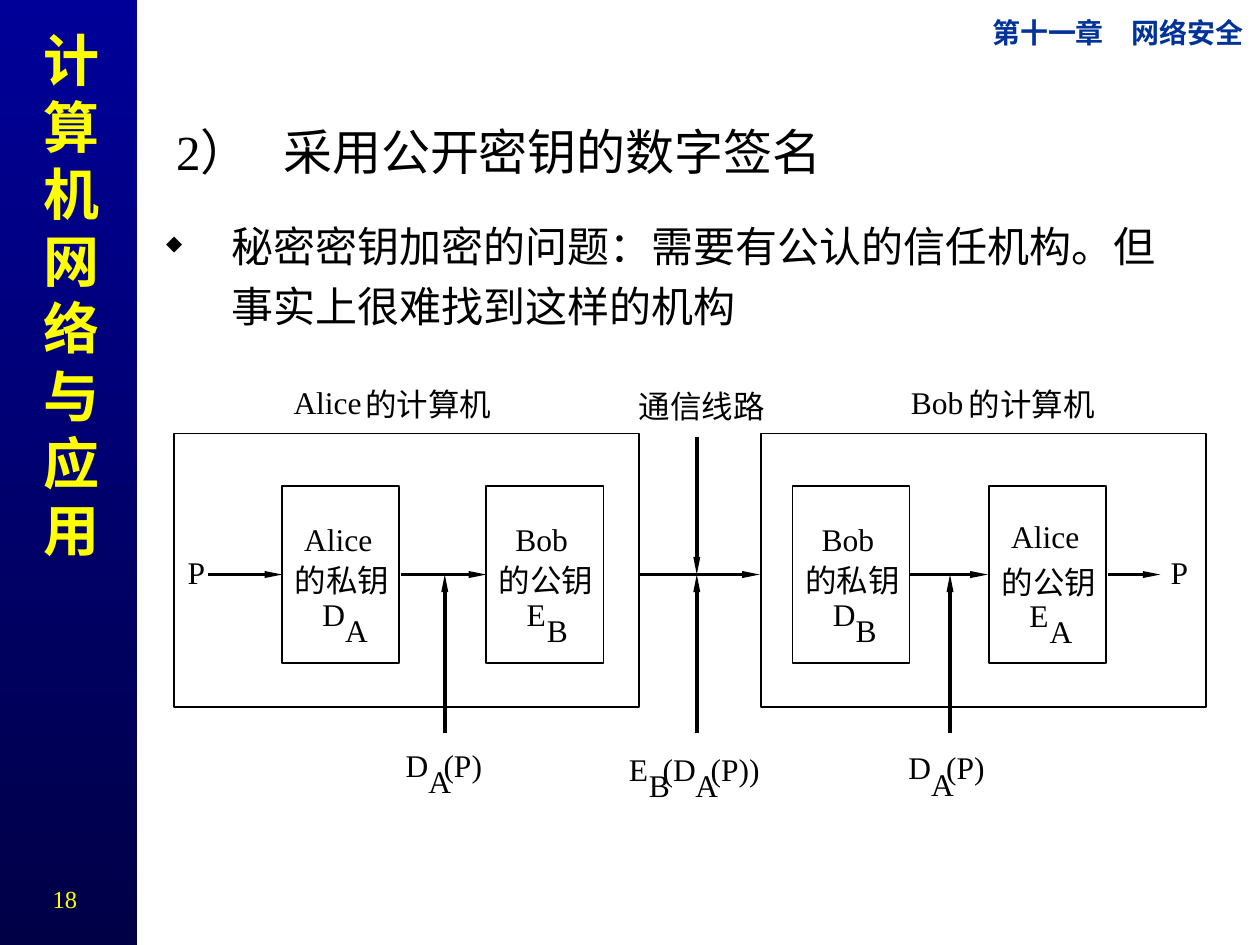
from lxml.etree import SubElement
from pptx import Presentation
from pptx.dml.color import RGBColor
from pptx.enum.shapes import MSO_CONNECTOR, MSO_SHAPE
from pptx.enum.text import MSO_ANCHOR, MSO_AUTO_SIZE, PP_ALIGN
from pptx.oxml.ns import qn
from pptx.util import Inches, Pt

FONT = "Times New Roman"
BLACK = RGBColor(0x00, 0x00, 0x00)
YELLOW = RGBColor(0xFF, 0xFF, 0x00)
CHAPTER_BLUE = RGBColor(0x00, 0x33, 0x99)
BAND_TOP = RGBColor(0x00, 0x00, 0x99)
BAND_BOTTOM = RGBColor(0x00, 0x00, 0x46)

# Character widths in inches at 18 pt; Chinese characters take a full em.
CHAR_WIDTHS = {"A": 0.18, "B": 0.17, "D": 0.18, "E": 0.16, "P": 0.14,
               "l": 0.07, "i": 0.07, "c": 0.11, "e": 0.11,
               "o": 0.13, "b": 0.13, "(": 0.08, ")": 0.08}
EM = 0.25
SLACK = 0.02
FLOW_Y = 4.56
INPUT_Y = 5.82
KEY_TOP, KEY_WIDTH, KEY_HEIGHT = 3.86, 0.93, 1.4


def text_width(text):
    return sum(CHAR_WIDTHS.get(char, EM) for char in text)


def add_text(page, box, text, size, color=BLACK, bold=False,
             align=PP_ALIGN.LEFT, margins=(0.1, 0.05)):
    shape = page.shapes.add_textbox(*map(Inches, box))
    frame = shape.text_frame
    frame.word_wrap = True
    frame.margin_left = frame.margin_right = Inches(margins[0])
    frame.margin_top = frame.margin_bottom = Inches(margins[1])
    frame.text = text
    para = frame.paragraphs[0]
    para.alignment = align
    font = para.runs[0].font
    font.name, font.size, font.bold = FONT, Pt(size), bold
    font.color.rgb = color
    return shape


def add_label(page, left, top, text):
    """Place one unwrapped line of diagram text, its box fitted to it."""
    label = add_text(page, (left, top, text_width(text) + SLACK, 0.3), text,
                     18, margins=(0, 0))
    label.text_frame.word_wrap = False
    label.text_frame.auto_size = MSO_AUTO_SIZE.SHAPE_TO_FIT_TEXT


def add_formula(page, left, top, pieces):
    """Place pieces in a row; every second piece is a lowered subscript."""
    for index, piece in enumerate(pieces):
        lowered = index % 2 == 1
        add_label(page, left, top + (0.13 if lowered else 0), piece)
        left += text_width(piece) - (0.06 if lowered else 0)


def add_frame(page, box):
    frame = page.shapes.add_shape(MSO_SHAPE.RECTANGLE, *map(Inches, box))
    frame.shadow.inherit = False
    frame.fill.background()
    frame.line.color.rgb = BLACK
    frame.line.width = Pt(1)


def add_arrow(page, start, end):
    arrow = page.shapes.add_connector(
        MSO_CONNECTOR.STRAIGHT, *map(Inches, (*start, *end)))
    arrow.line.color.rgb = BLACK
    arrow.line.width = Pt(2)
    SubElement(arrow.line._get_or_add_ln(), qn("a:tailEnd"),
               type="triangle", w="sm", len="lg")
    SubElement(arrow._element.spPr, qn("a:effectLst"))


def add_sidebar(page, box):
    left, top, width, height = box
    band = page.shapes.add_shape(MSO_SHAPE.RECTANGLE, *map(Inches, box))
    band.shadow.inherit = False
    band.line.fill.background()
    band.fill.gradient()
    band.fill.gradient_angle = 270
    for stop, color in zip(band.fill.gradient_stops, (BAND_TOP, BAND_BOTTOM)):
        stop.color.rgb = color
    add_text(page, (left + 0.16, top + 0.15, 0.75, 4.37), "计算机网络与应用",
             32, YELLOW, bold=True, align=PP_ALIGN.RIGHT)
    add_text(page, (left + 0.24, top + height - 0.55, 0.59, 0.34), "18",
             14, YELLOW, align=PP_ALIGN.CENTER)


def add_title(page, box):
    title = add_text(page, box, "2）\t采用公开密钥的数字签名", 28)
    title.text_frame.vertical_anchor = MSO_ANCHOR.MIDDLE
    props = title.text_frame.paragraphs[0]._p.get_or_add_pPr()
    tabs = SubElement(props, qn("a:tabLst"))
    SubElement(tabs, qn("a:tab"), pos=str(Inches(0.85)), algn="l")


def add_body(page, box):
    body = add_text(
        page, box,
        "秘密密钥加密的问题：需要有公认的信任机构。但事实上很难找到这样的机构", 24)
    para = body.text_frame.paragraphs[0]
    para.line_spacing = 1.2
    para.space_before = Pt(6)
    props = para._p.get_or_add_pPr()
    props.set("marL", str(Inches(0.52)))
    props.set("indent", str(Inches(-0.52)))
    bullet_color = SubElement(props, qn("a:buClr"))
    SubElement(bullet_color, qn("a:srgbClr"), val=str(BLACK))
    SubElement(props, qn("a:buSzPct"), val="50000")
    SubElement(props, qn("a:buChar"), char="◆")


def add_key(page, left, owner, kind, symbol, tops=(4.13, 4.45, 4.72)):
    """Draw one key box: owner, kind of key and its symbol."""
    owner_top, kind_top, symbol_top = tops
    middle = left + KEY_WIDTH / 2
    add_frame(page, (left, KEY_TOP, KEY_WIDTH, KEY_HEIGHT))
    add_label(page, middle - 0.02 - text_width(owner) / 2, owner_top, owner)
    add_label(page, left + 0.1, kind_top, kind)
    add_formula(page, left + 0.32, symbol_top, symbol)


def add_computer(page, box, owner, owner_left):
    add_frame(page, box)
    caption_top = box[1] - 0.4
    add_label(page, owner_left, caption_top, owner)
    add_label(page, owner_left + text_width(owner) + 0.03,
              caption_top + 0.02, "的计算机")


def add_signature_diagram(page):
    add_computer(page, (1.38, 3.44, 3.69, 2.17), "Alice", 2.33)
    add_computer(page, (6.04, 3.44, 3.53, 2.17), "Bob", 7.23)
    add_label(page, 5.07, 3.07, "通信线路")

    add_key(page, 2.24, "Alice", "的私钥", "DA")
    add_key(page, 3.86, "Bob", "的公钥", "EB")
    add_key(page, 6.29, "Bob", "的私钥", "DB")
    add_key(page, 7.85, "Alice", "的公钥", "EA", (4.1, 4.47, 4.73))

    for left in (1.49, 9.29):
        add_label(page, left, 4.39, "P")
    for start, end in ((1.65, 2.24), (3.18, 3.86), (5.07, 6.03),
                       (7.22, 7.84), (8.79, 9.21)):
        add_arrow(page, (start, FLOW_Y), (end, FLOW_Y))

    add_arrow(page, (5.53, 3.47), (5.53, FLOW_Y))
    for center, left, top, pieces in (
            (3.53, 3.22, 5.92, ("D", "A", "(P)")),
            (5.53, 4.99, 5.95, ("E", "B", "(D", "A", "(P))")),
            (7.54, 7.21, 5.94, ("D", "A", "(P)"))):
        add_arrow(page, (center, INPUT_Y), (center, FLOW_Y))
        add_formula(page, left, top, pieces)


def main():
    deck = Presentation()
    deck.slide_width, deck.slide_height = Inches(10), Inches(7.5)
    page = deck.slides.add_slide(deck.slide_layouts[6])
    add_sidebar(page, (-0.02, 0, 1.11, 7.52))
    add_text(page, (7.53, 0.12, 2.34, 0.27), "第十一章　网络安全", 16,
             CHAPTER_BLUE, bold=True, align=PP_ALIGN.RIGHT, margins=(0, 0))
    add_title(page, (1.3, 0.84, 8.2, 0.71))
    add_body(page, (1.22, 1.62, 8.37, 1.42))
    add_signature_diagram(page)
    deck.save("out.pptx")


if __name__ == "__main__":
    main()
